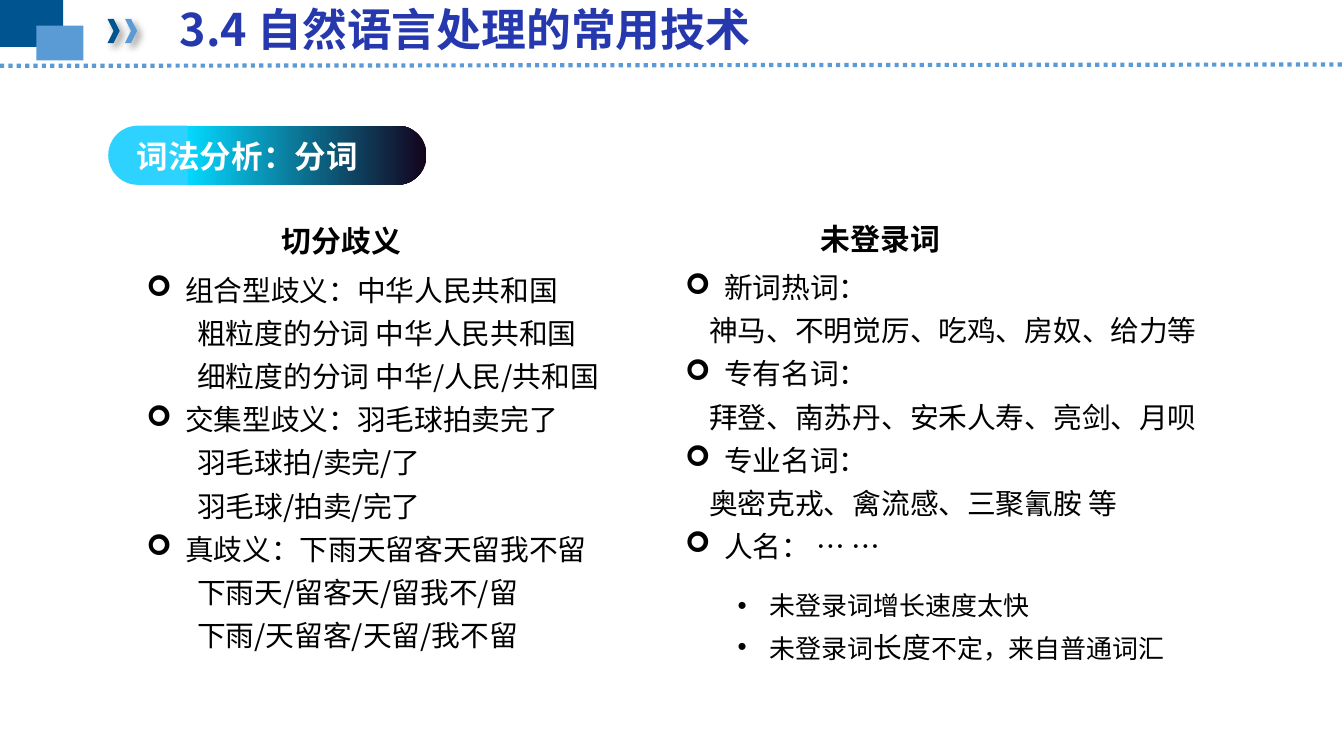
"""Build the slide on word segmentation in lexical analysis."""
from lxml import etree
from pptx import Presentation
from pptx import util as u
from pptx.dml.color import RGBColor
from pptx.enum import dml, shapes
from pptx.oxml import parse_xml
from pptx.oxml.ns import nsdecls, qn

Inches, Pt = u.Inches, u.Pt
FONT = "Noto Sans CJK SC"
BULLET_FONTS = {"➢": "Wingdings", "•": "Arial"}
NAVY, BLUE, CYAN = "005490", "5B9BD5", "2ED2FF"
SHAPE = shapes.MSO_SHAPE


def color(value):
    return RGBColor.from_string(value)


def add_text(place, lines, size, ink="000000", bold=False, wrap=True):
    """Add lines of (bullet, left indent, hanging indent, [(text, size), ...])."""
    box = page.shapes.add_textbox(*map(Inches, place))
    frame = box.text_frame
    frame.word_wrap = wrap
    for index, (bullet, left, hanging, pieces) in enumerate(lines):
        para = frame.paragraphs[0] if index == 0 else frame.add_paragraph()
        props = para._p.get_or_add_pPr()
        props.set("marL", str(Inches(left)))
        props.set("indent", str(-Inches(hanging)))
        if bullet:
            etree.SubElement(props, qn("a:buFont")).set("typeface", BULLET_FONTS[bullet])
            etree.SubElement(props, qn("a:buChar")).set("char", bullet)
        para.line_spacing = Pt(round(1.2 * max(part[1] for part in pieces), 1))
        para.space_before = Pt(4.6 if index else 0)
        para.font.size = Pt(size)
        para.font.bold = bold
        para.font.color.rgb = color(ink)
        para.font.name = FONT
        for words, span_size in pieces:
            span = para.add_run()
            span.text = words
            if span_size != size:
                span.font.size = Pt(span_size)
            east = etree.SubElement(span._r.get_or_add_rPr(), qn("a:ea"))
            east.set("typeface", FONT)
    return box


deck = Presentation()
deck.slide_width, deck.slide_height = Inches(10), Inches(10 * 9 / 16)
page = deck.slides.add_slide(deck.slide_layouts[6])

drawn = [
    (SHAPE.RECTANGLE, (0, 0, 0.47, 0.35), 0, NAVY),
    (SHAPE.RECTANGLE, (0.27, 0.19, 0.35, 0.26), 0, BLUE),
    (SHAPE.ROUND_2_SAME_RECTANGLE, (2.06, 0.26, 0.44, 1.79), 90, None),
    (SHAPE.ROUND_2_SAME_RECTANGLE, (0.88, 0.86, 0.44, 0.59), 270, CYAN),
    (SHAPE.CHEVRON, (0.8, 0.14, 0.09, 0.18), 0, NAVY),
    (SHAPE.CHEVRON, (0.93, 0.14, 0.09, 0.18), 0, BLUE),
]
for kind, place, turn, paint in drawn:
    shape = page.shapes.add_shape(kind, *map(Inches, place))
    shape.rotation = turn
    shape.shadow.inherit = False
    shape.line.fill.background()
    if paint:
        shape.fill.solid()
        shape.fill.fore_color.rgb = color(paint)
    else:
        shape.fill.gradient()
        shape.fill.gradient_angle = 270
        for stop, tone in zip(shape.fill.gradient_stops, ("13031D", "04D9FF")):
            stop.color.rgb = color(tone)
    if kind == SHAPE.ROUND_2_SAME_RECTANGLE:
        shape.adjustments[0] = 0.5
    if kind == SHAPE.CHEVRON:
        shape._element.spPr.find(qn("a:effectLst")).append(parse_xml(
            f'<a:outerShdw {nsdecls("a")} blurRad="{Pt(4)}" dist="{Pt(3)}" '
            'dir="2700000" algn="tl" rotWithShape="0"><a:srgbClr val="000000">'
            '<a:alpha val="40000"/></a:srgbClr></a:outerShdw>'))

rule = page.shapes.add_connector(shapes.MSO_CONNECTOR.STRAIGHT,
                                 Inches(0), Inches(0.49), Inches(10), Inches(0.48))
rule.line.color.rgb = color(BLUE)
rule.line.width = Pt(2.25)
rule.line.dash_style = dml.MSO_LINE.ROUND_DOT
etree.SubElement(rule._element.spPr, qn("a:effectLst"))

title = add_text((1.24, 0, 6.02, 0.41),
                 [(None, 0.19, 0.19, [("3.4 自然语言处理的常用技术", 24)])],
                 24, "2638AE", True)
title.text_frame.margin_bottom = 0
title.text_frame.paragraphs[0].line_spacing = Pt(26)
add_text((0.92, 0.97, 1.89, 0.39), [(None, 0, 0, [("词法分析：分词", 16.9)])],
         16.9, "FFFFFF", True)

columns = [
    ("切分歧义", (2, 1.61, 1.1, 0.37), (0.99, 1.98, 3.82, 2.99), 0.38, [
        ("组合型歧义：中华人民共和国",
         ["粗粒度的分词 中华人民共和国", "细粒度的分词 中华/人民/共和国"]),
        ("交集型歧义：羽毛球拍卖完了", ["羽毛球拍/卖完/了", "羽毛球/拍卖/完了"]),
        ("真歧义：下雨天留客天留我不留",
         ["下雨天/留客天/留我不/留", "下雨/天留客/天留/我不留"]),
    ]),
    ("未登录词", (6.01, 1.59, 1.1, 0.37), (5, 1.96, 4.57, 2.33), 0.18, [
        ("新词热词：", ["神马、不明觉厉、吃鸡、房奴、给力等"]),
        ("专有名词：", ["拜登、南苏丹、安禾人寿、亮剑、月呗"]),
        ("专业名词：", ["奥密克戎、禽流感、三聚氰胺 等"]),
        ("人名： … …", []),
    ]),
]
for heading, heading_place, body_place, indent, topics in columns:
    add_text(heading_place, [(None, 0, 0, [(heading, 16)])], 16, bold=True, wrap=False)
    lines = []
    for topic, examples in topics:
        lines.append(("➢", 0.29, 0.29, [(topic, 15.4)]))
        lines += [(None, indent, 0, [(example, 15.4)]) for example in examples]
    add_text(body_place, lines, 15.4)

add_text((5.39, 4.34, 4, 0.66), [
    ("•", 0.24, 0.24, [("未登录词增长速度太快", 13.9)]),
    ("•", 0.24, 0.24, [("未登录词", 13.9), ("长度", 15.4), ("不定，来自普通词汇", 13.9)]),
], 13.9)

deck.save("out.pptx")
